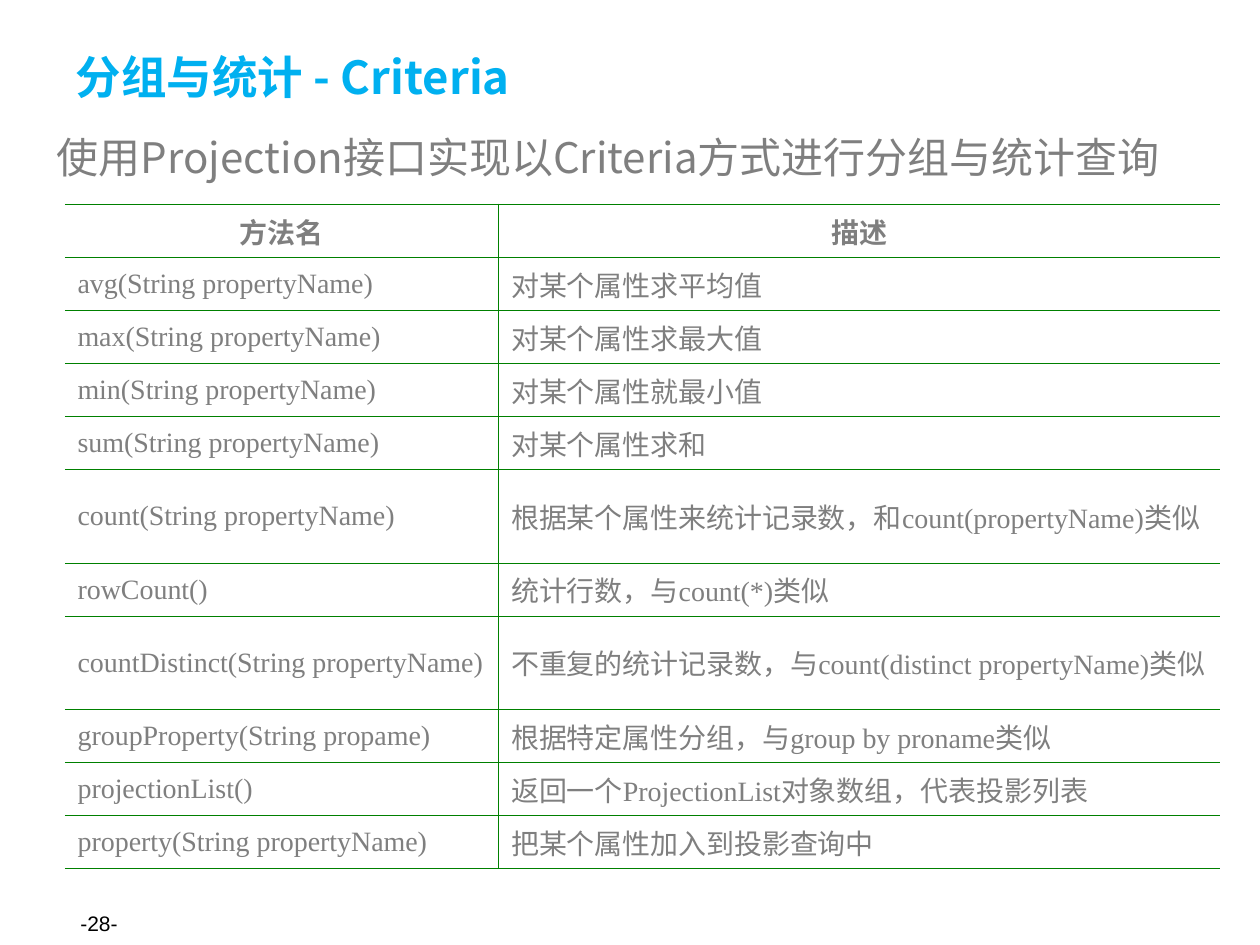
from typing import NamedTuple

from lxml import etree
from pptx import Presentation
from pptx import util as u
from pptx.dml.color import RGBColor
from pptx.enum import text
from pptx.oxml import ns

CJK, SERIF, SANS = "Noto Sans CJK SC", "Times New Roman", "Arial"
BLUE, GREY, GREEN, BLACK = "00B0F0", "7F7F7F", "008000", "000000"
THIN, THICK = 0.45, 1.08
ONE_LINE, TWO_LINES = 1.07, 1.88


class Method(NamedTuple):
    signature: str
    description: str
    height: float = ONE_LINE


METHODS = [
    Method("方法名", "描述"),
    Method("avg(String propertyName)", "对某个属性求平均值"),
    Method("max(String propertyName)", "对某个属性求最大值"),
    Method("min(String propertyName)", "对某个属性就最小值"),
    Method("sum(String propertyName)", "对某个属性求和"),
    Method("count(String propertyName)",
           "根据某个属性来统计记录数，和count(propertyName)类似", TWO_LINES),
    Method("rowCount()", "统计行数，与count(*)类似"),
    Method("countDistinct(String propertyName)",
           "不重复的统计记录数，与count(distinct propertyName)类似", TWO_LINES),
    Method("groupProperty(String propame)", "根据特定属性分组，与group by proname类似"),
    Method("projectionList()", "返回一个ProjectionList对象数组，代表投影列表"),
    Method("property(String propertyName)", "把某个属性加入到投影查询中"),
]


def color(value: str) -> RGBColor:
    return RGBColor.from_string(value)


def write(frame, words: str, *, size: float, font: str, fill: str,
          bold: bool = False, align=text.PP_ALIGN.LEFT) -> None:
    paragraph = frame.paragraphs[0]
    paragraph.alignment = align
    run = paragraph.add_run()
    run.text = words
    run.font.size = u.Pt(size)
    run.font.name = font
    run.font.bold = bold
    run.font.color.rgb = color(fill)
    east_asian = etree.Element(ns.qn("a:ea"), typeface=CJK)
    run.font._element.find(ns.qn("a:latin")).addnext(east_asian)


def place(shape, left: float, top: float, width: float, height: float) -> None:
    shape.left, shape.top = u.Cm(left), u.Cm(top)
    shape.width, shape.height = u.Cm(width), u.Cm(height)


def add_label(slide, at: tuple, words: str, *, anchor=text.MSO_ANCHOR.TOP, **style) -> None:
    frame = slide.shapes.add_textbox(*map(u.Cm, at)).text_frame
    frame.word_wrap = True
    frame.vertical_anchor = anchor
    write(frame, words, **style)


def set_borders(cell, **widths: float) -> None:
    """Draw the sides given as L, R, T, B in points; a width of 0 hides a side."""
    cell.fill.background()
    properties = cell._tc.get_or_add_tcPr()
    for index, side in enumerate("LRTB"):
        width = widths[side]
        line = etree.Element(ns.qn(f"a:ln{side}"), w=str(u.Pt(width)))
        if width:
            solid = etree.SubElement(line, ns.qn("a:solidFill"))
            etree.SubElement(solid, ns.qn("a:srgbClr"), val=GREEN)
        else:
            etree.SubElement(line, ns.qn("a:noFill"))
        properties.insert(index, line)


def add_method_table(slide, methods: list[Method]) -> None:
    height = sum(method.height for method in methods)
    table = slide.shapes.add_table(
        len(methods), 2, u.Cm(1.31), u.Cm(4.12), u.Cm(23.29), u.Cm(height)).table
    table.first_row = table.horz_banding = False
    for column, width in zip(table.columns, (8.74, 14.55)):
        column.width = u.Cm(width)

    last = len(methods) - 1
    for row, method in enumerate(methods):
        table.rows[row].height = u.Cm(method.height)
        header = row == 0
        for col, words in enumerate((method.signature, method.description)):
            cell = table.cell(row, col)
            cell.vertical_anchor = text.MSO_ANCHOR.MIDDLE
            write(cell.text_frame, words, size=16, font=SERIF, fill=GREY, bold=header,
                  align=text.PP_ALIGN.CENTER if header else text.PP_ALIGN.LEFT)
            set_borders(cell, L=THIN if col else 0, R=0 if col else THIN,
                        T=THICK if header else THIN,
                        B=THICK if row == last else THIN)


def main() -> None:
    deck = Presentation()
    deck.slide_width, deck.slide_height = u.Cm(25.4), u.Cm(19.05)
    slide = deck.slides.add_slide(deck.slide_layouts[5])

    # Title
    title = slide.shapes.title
    place(title, 1.27, 0.76, 22.86, 1.55)
    title.text_frame.auto_size = text.MSO_AUTO_SIZE.NONE
    title.text_frame.vertical_anchor = text.MSO_ANCHOR.MIDDLE
    write(title.text_frame, "分组与统计 - Criteria", size=26, font=CJK, fill=BLUE, bold=True)

    # Introduction
    add_label(slide, (0.9, 2.53, 23.6, 1.5),
              "使用Projection接口实现以Criteria方式进行分组与统计查询",
              size=24, font=CJK, fill=GREY)

    # Projection methods
    add_method_table(slide, METHODS)

    # Page number
    add_label(slide, (1.37, 18.1, 5.92, 1.02), "-28-", anchor=text.MSO_ANCHOR.MIDDLE,
              size=12, font=SANS, fill=BLACK)

    deck.save("out.pptx")


if __name__ == "__main__":
    main()
